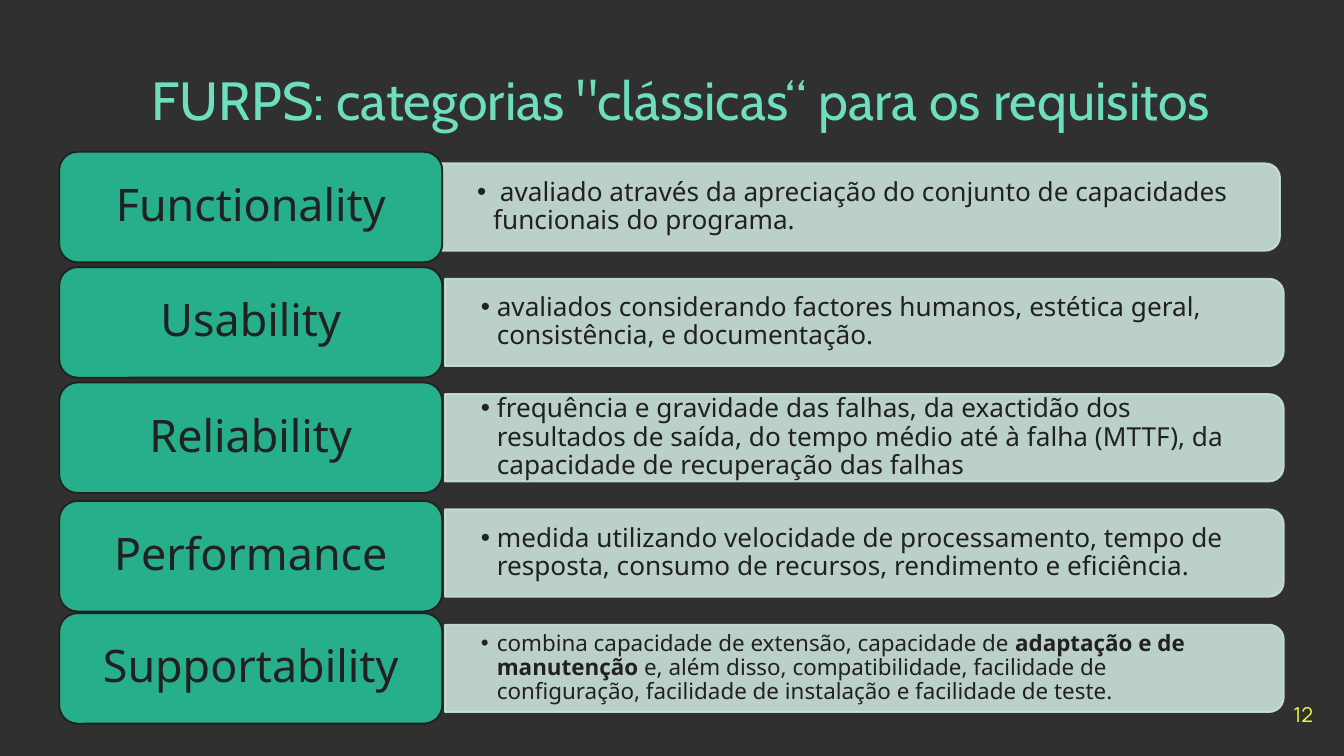
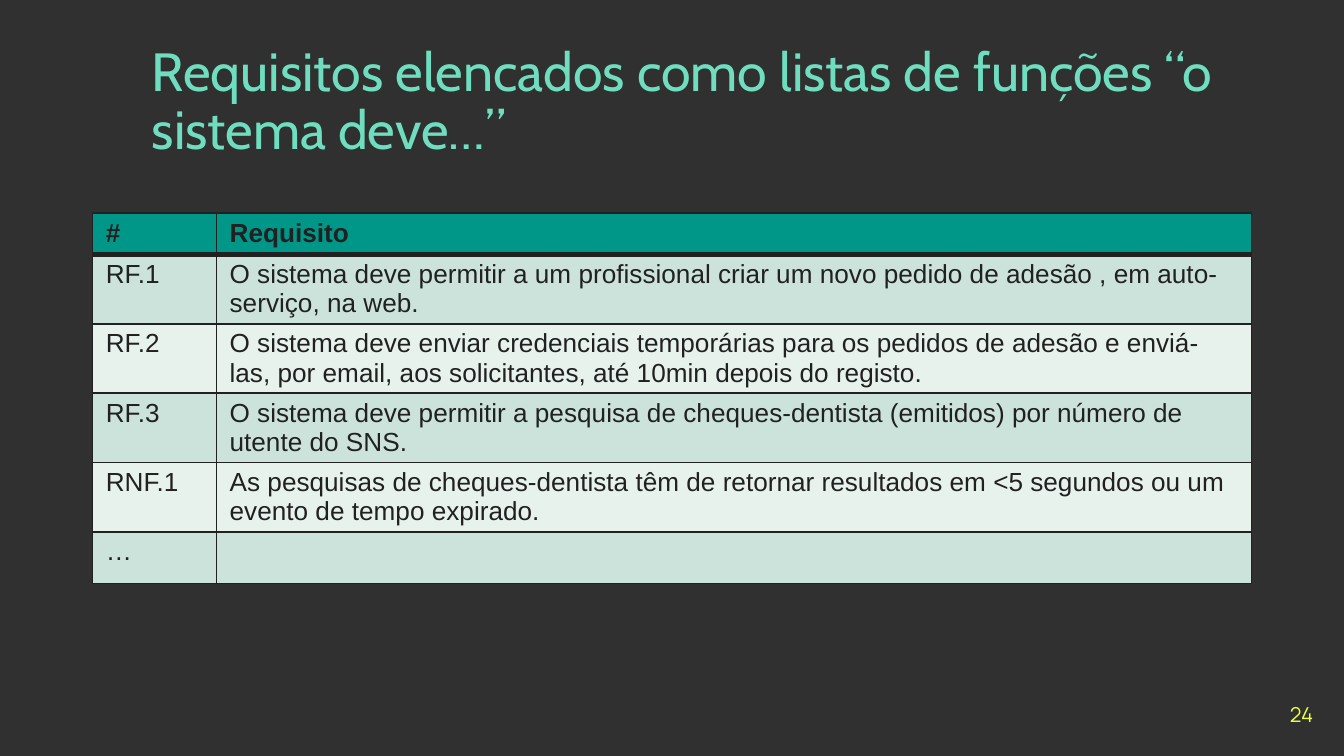
from lxml import etree
from pptx import Presentation
from pptx.dml.color import RGBColor
from pptx.enum.shapes import MSO_SHAPE
from pptx.enum.text import MSO_ANCHOR, MSO_AUTO_SIZE, PP_ALIGN
from pptx.oxml.ns import qn
from pptx.util import Cm, Pt

ROUND = MSO_SHAPE.ROUNDED_RECTANGLE
ROUND_TOP = MSO_SHAPE.ROUND_2_SAME_RECTANGLE
MIDDLE = MSO_ANCHOR.MIDDLE
NO_FIT = MSO_AUTO_SIZE.NONE
LEFT, CENTER, RIGHT = PP_ALIGN.LEFT, PP_ALIGN.CENTER, PP_ALIGN.RIGHT

COLORS = {
    "back": "303030", "title": "6EDEBF", "ink": "212121", "number": "EEFF41",
    "label": "26AF8A", "bar": "CBE2DA",
    "header": "009688", "odd": "CBE3DA", "even": "E7F2ED",
}
FORMATS = {
    "title": {"name": "Cabin", "size": Pt(28.8), "color": "title"},
    "number": {"name": "Manrope", "size": Pt(11), "color": "number"},
    "label": {"name": "Noto Sans", "size": Pt(24), "color": "ink"},
    "detail": {"name": "Noto Sans", "size": Pt(14), "color": "ink"},
    "small": {"name": "Noto Sans", "size": Pt(12), "color": "ink"},
    "cell": {"name": "Arial", "size": Pt(14), "color": "ink"},
}
INSETS = (0.25, 0.13)


def rgb(color):
    return RGBColor.from_string(COLORS[color])


class Deck:
    def __init__(self):
        self.prs = Presentation()
        self.prs.slide_width, self.prs.slide_height = Cm(25.4), Cm(14.29)
        fill = self.prs.slide_master.background.fill
        fill.solid()
        fill.fore_color.rgb = rgb("back")

    def slide(self, title, number):
        self.s = self.prs.slides.add_slide(self.prs.slide_layouts[5])
        sp = self.s.shapes.title
        sp.left, sp.top, sp.width, sp.height = Cm(2.62), Cm(1.14), Cm(21.92), Cm(1.6)
        self.fill_text(sp.text_frame, title, "title", LEFT, spacing=0.9)
        self.text(23.55, 12.95, 1.52, 1.09, number, "number", RIGHT)

    def run(self, p, text, style, bold=False):
        r = p.add_run()
        r.text = text
        r.font.bold = bold
        for key, value in FORMATS[style].items():
            if key == "color":
                r.font.color.rgb = rgb(value)
            else:
                setattr(r.font, key, value)

    def fill_text(self, tf, text, style, align, insets=INSETS, spacing=1.0, bullet=False):
        """Fill a frame; text between asterisks is bold."""
        x, y = (Cm(v) for v in insets)
        frame = {"word_wrap": True, "auto_size": NO_FIT, "vertical_anchor": MIDDLE,
                 "margin_left": x, "margin_right": x, "margin_top": y, "margin_bottom": y}
        for key, value in frame.items():
            setattr(tf, key, value)
        p = tf.paragraphs[0]
        p.alignment, p.line_spacing = align, spacing
        if bullet:
            self.bullet(p)
        for i, part in enumerate(text.split("*")):
            self.run(p, part, style, bold=i % 2 == 1)

    def bullet(self, p):
        pPr = p._p.get_or_add_pPr()
        pPr.set("marL", str(Cm(0.3)))
        pPr.set("indent", str(-Cm(0.3)))
        color = etree.SubElement(pPr, qn("a:buClr"))
        etree.SubElement(color, qn("a:srgbClr"), val=COLORS["ink"])
        etree.SubElement(pPr, qn("a:buFont"), typeface="Arial")
        etree.SubElement(pPr, qn("a:buChar"), char="•")

    def text(self, x, y, w, h, text, style, align, **options):
        sp = self.s.shapes.add_textbox(Cm(x), Cm(y), Cm(w), Cm(h))
        self.fill_text(sp.text_frame, text, style, align, **options)

    def shape(self, kind, x, y, w, h, fill, line):
        sp = self.s.shapes.add_shape(kind, Cm(x), Cm(y), Cm(w), Cm(h))
        sp.shadow.inherit = False
        sp.adjustments[0] = 0.167
        sp.fill.solid()
        sp.fill.fore_color.rgb = rgb(fill)
        sp.line.color.rgb = rgb(line)
        sp.line.width = Pt(1)
        return sp

    def label(self, x, y, w, h, text):
        sp = self.shape(ROUND, x, y, w, h, "label", "ink")
        self.fill_text(sp.text_frame, text, "label", CENTER, spacing=0.9)

    def bar(self, x, mid, w, h, text, style):
        # An upright shape turned a quarter, so that its right end is round
        sp = self.shape(ROUND_TOP, x + (w - h) / 2, mid - w / 2, h, w, "bar", "bar")
        sp.rotation = 90
        for color in sp._element.spPr.iter(qn("a:srgbClr")):
            etree.SubElement(color, qn("a:alpha"), val="90000")
        self.text(x, mid - 0.75, w - 0.13, 1.5, text, style, LEFT,
                  insets=(0.68, 0.36), spacing=0.9, bullet=True)

    def border(self, cell, **widths):
        tcPr = cell._tc.get_or_add_tcPr()
        for side in "LRTB":
            ln = etree.SubElement(tcPr, qn("a:ln" + side), w=str(Pt(widths.get(side, 1))))
            fill = etree.SubElement(ln, qn("a:solidFill"))
            etree.SubElement(fill, qn("a:srgbClr"), val=COLORS["ink"])

    def table(self, x, y, widths, heights, rows):
        frame = self.s.shapes.add_table(len(rows), len(widths), Cm(x), Cm(y),
                                        Cm(sum(widths)), Cm(sum(heights)))
        tbl = frame.table
        tbl.horz_banding = False
        for col, width in zip(tbl.columns, widths):
            col.width = Cm(width)
        for i, (row, height, texts) in enumerate(zip(tbl.rows, heights, rows)):
            row.height = Cm(height)
            heavy = {0: {"B": 3}, 1: {"T": 3}}.get(i, {})
            fill = "header" if i == 0 else "odd" if i % 2 else "even"
            for cell, text in zip(row.cells, texts):
                self.border(cell, **heavy)
                cell.fill.solid()
                cell.fill.fore_color.rgb = rgb(fill)
                cell.margin_left = cell.margin_right = Cm(0.25)
                cell.margin_top = cell.margin_bottom = Cm(0.1)
                if text:
                    self.run(cell.text_frame.paragraphs[0], text, "cell", bold=i == 0)


# Category, description, text style, shift of the bar (x), shift of the label (y)
FURPS = [
    ("Functionality", " avaliado através da apreciação do conjunto de capacidades "
     "funcionais do programa.", "detail", -0.07, 0),
    ("Usability", "avaliados considerando factores humanos, estética geral, "
     "consistência, e documentação.", "detail", 0, 0),
    ("Reliability", "frequência e gravidade das falhas, da exactidão dos resultados de "
     "saída, do tempo médio até à falha (MTTF), da capacidade de recuperação das falhas",
     "detail", 0, 0),
    ("Performance", "medida utilizando velocidade de processamento, tempo de resposta, "
     "consumo de recursos, rendimento e eficiência.", "detail", 0, 0.06),
    ("Supportability", "combina capacidade de extensão, capacidade de *adaptação e de "
     "manutenção* e, além disso, compatibilidade, facilidade de configuração, facilidade "
     "de instalação e facilidade de teste.", "small", 0, 0),
]
REQUIREMENTS = [
    ("#", "Requisito"),
    ("RF.1", "O sistema deve permitir a um profissional criar um novo pedido de adesão , "
     "em auto-serviço, na web."),
    ("RF.2", "O sistema deve enviar credenciais temporárias para os pedidos de adesão e "
     "enviá-las, por email, aos solicitantes, até 10min depois do registo."),
    ("RF.3", "O sistema deve permitir a pesquisa de cheques-dentista (emitidos) por "
     "número de utente do SNS."),
    ("RNF.1", "As pesquisas de cheques-dentista têm de retornar resultados em "
     "<5 segundos ou um evento de tempo expirado."),
    ("…", ""),
]


def main():
    deck = Deck()

    # FURPS categories
    deck.slide('FURPS: categorias "clássicas“ para os requisitos', "12")
    top, pitch, height = 2.87, 2.18, 2.09
    for i, (name, detail, style, dx, dy) in enumerate(FURPS):
        y = top + i * pitch
        deck.bar(8.41 + dx, y + height / 2, 15.85, 1.65, detail, style)
        deck.label(1.12, y + dy, 7.24, height, name)

    # Requirements table
    deck.slide("Requisitos elencados como listas de funções “o sistema deve…”", "24")
    deck.table(1.75, 4.03, [2.34, 19.56], [0.78] + [1.3] * 4 + [0.91], REQUIREMENTS)

    deck.prs.save("out.pptx")


if __name__ == "__main__":
    main()
